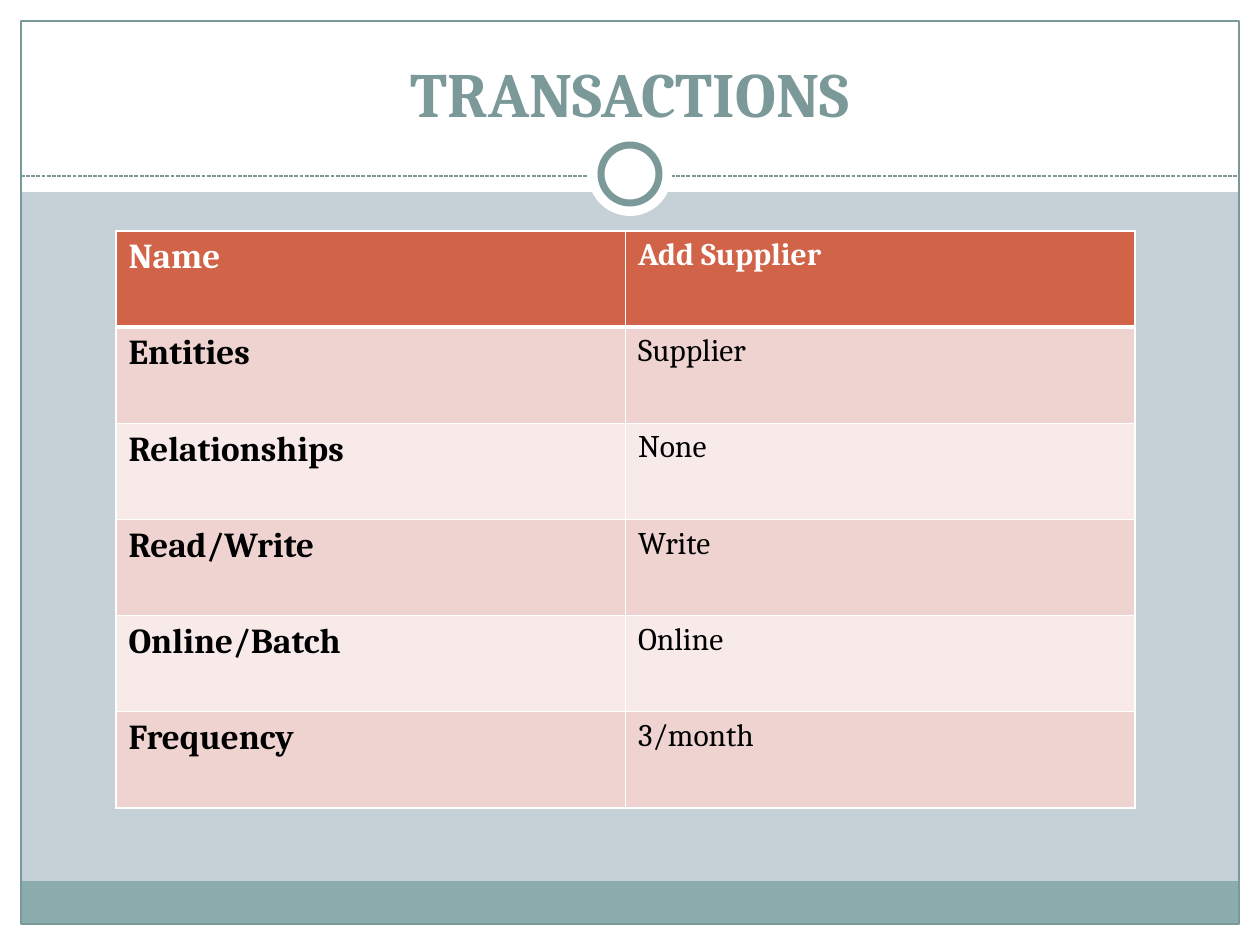
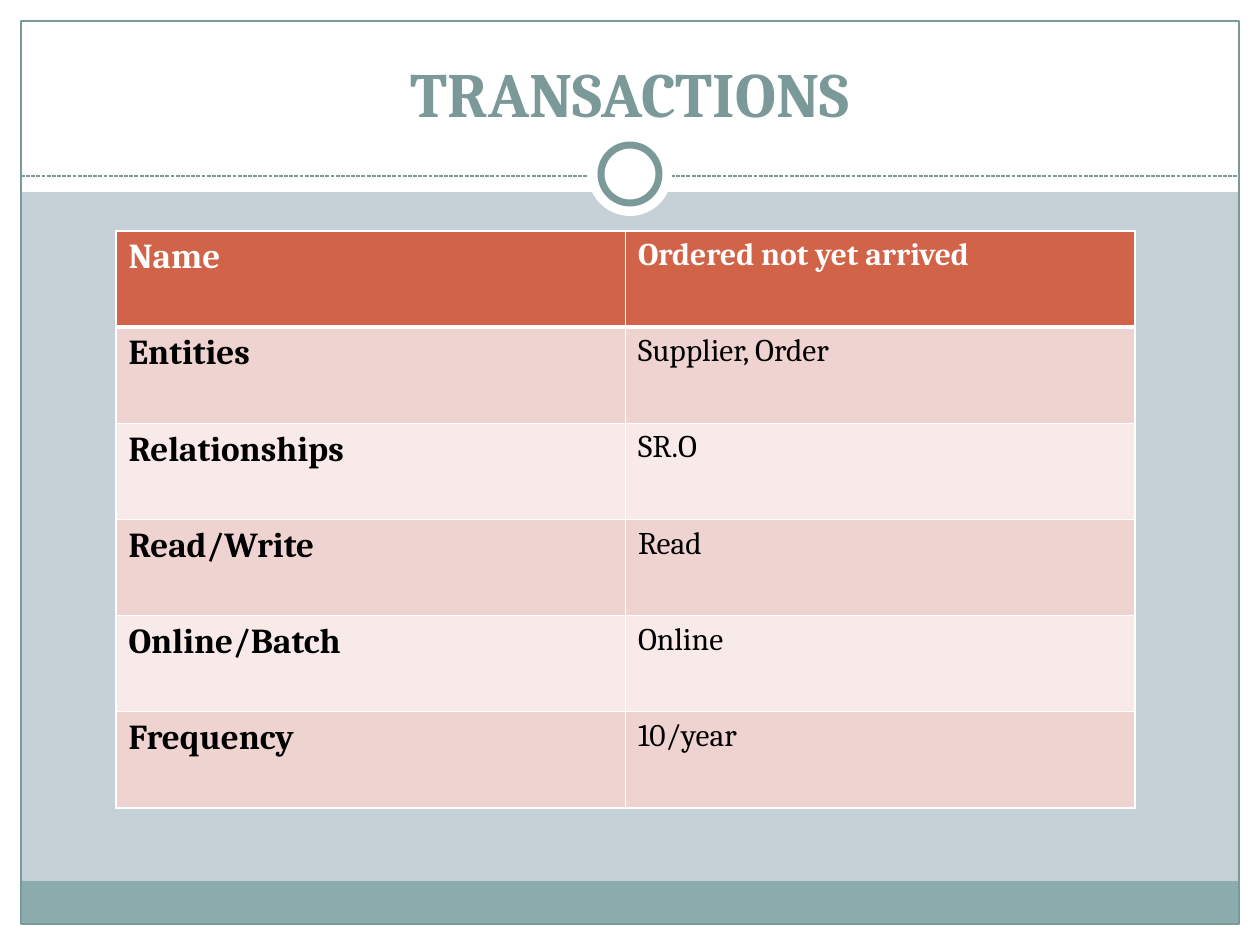
from lxml import etree
from pptx import Presentation
from pptx.dml.color import RGBColor
from pptx.enum.dml import MSO_LINE
from pptx.enum.shapes import MSO_CONNECTOR, MSO_SHAPE
from pptx.enum.text import MSO_ANCHOR, PP_ALIGN
from pptx.oxml.ns import qn
from pptx.util import Pt

RECTANGLE, OVAL = MSO_SHAPE.RECTANGLE, MSO_SHAPE.OVAL
STRAIGHT = MSO_CONNECTOR.STRAIGHT
DASHED = MSO_LINE.SQUARE_DOT
BOTTOM, CENTER = MSO_ANCHOR.BOTTOM, PP_ALIGN.CENTER

PIXEL = 914400 / 126
WIDTH, HEIGHT = 1260, 945
MARGIN = 21
FONT = "Cambria"
COLORS = {
    "background": "C5D1D7",
    "white": "FFFFFF",
    "black": "000000",
    "accent": "7C999A",
    "footer": "8CADAE",
    "header": "D16349",
    "odd": "EED3D0",
    "even": "F7EAE9",
}
TITLE = "TRANSACTIONS"
LABELS = ["Name", "Entities", "Relationships", "Read/Write", "Online/Batch", "Frequency"]
TRANSACTIONS = [
    ["Add Supplier", "Supplier", "None", "Write", "Online", "3/month"],
    ["Ordered not yet arrived", "Supplier, Order", "SR.O", "Read", "Online", "10/year"],
]


def emu(*pixels):
    """Turn pixel lengths into EMU."""
    return [round(length * PIXEL) for length in pixels]


def color(name):
    """Return a named colour."""
    return RGBColor.from_string(COLORS[name])


def style_text(para, size, color_name, bold):
    """Format every run of a paragraph."""
    for span in para.runs:
        span.font.name = FONT
        span.font.size = Pt(size)
        span.font.bold = bold
        span.font.color.rgb = color(color_name)


def add_panel(page, kind, box, fill=None, line=None, weight=0.75):
    """Add a flat shape with an optional fill and outline."""
    shape = page.shapes.add_shape(kind, *emu(*box))
    shape.shadow.inherit = False
    if fill:
        shape.fill.solid()
        shape.fill.fore_color.rgb = color(fill)
    else:
        shape.fill.background()
    if line:
        shape.line.color.rgb = color(line)
        shape.line.width = Pt(weight)
    else:
        shape.line.fill.background()


def add_divider(page, left, right, top):
    """Add the dashed rule under the title."""
    rule = page.shapes.add_connector(STRAIGHT, *emu(left, top, right, top))
    rule.line.color.rgb = color("accent")
    rule.line.width = Pt(0.75)
    rule.line.dash_style = DASHED
    etree.SubElement(rule._element.spPr, qn("a:effectLst"))


def add_circle(page, center_x, center_y, diameter, line=None):
    """Add a white circle around a centre point."""
    box = (center_x - diameter / 2, center_y - diameter / 2, diameter, diameter)
    add_panel(page, OVAL, box, "white", line, 4)


def add_frame(page, box):
    """Draw the background, white margins, footer band, border and ring."""
    left, top, width, height = box
    right, bottom = left + width, top + height
    page.background.fill.solid()
    page.background.fill.fore_color.rgb = color("background")
    for strip in (
        (0, bottom, WIDTH, HEIGHT - bottom),
        (0, 0, WIDTH, 192),
        (0, 0, left, HEIGHT),
        (right, 0, WIDTH - right, HEIGHT),
    ):
        add_panel(page, RECTANGLE, strip, "white")
    add_panel(page, RECTANGLE, (left, bottom - 43, width, 43), "footer")
    add_panel(page, RECTANGLE, box, line="accent")
    add_divider(page, left, right, top + 155)
    center_x, center_y = left + width / 2, top + 153
    add_circle(page, center_x, center_y, 84)
    add_circle(page, center_x, center_y, 58, "accent")


def add_title(page, box, text):
    """Add the centred title, resting on the bottom of its box."""
    frame = page.shapes.add_textbox(*emu(*box)).text_frame
    frame.word_wrap = True
    frame.vertical_anchor = BOTTOM
    frame.text = text
    para = frame.paragraphs[0]
    para.alignment = CENTER
    style_text(para, 36, "accent", True)


def add_border(cell, side, weight):
    """Add a white border to one side of a cell."""
    properties = cell._tc.get_or_add_tcPr()
    line = etree.SubElement(properties, qn(f"a:ln{side}"), w=str(Pt(weight)))
    fill = etree.SubElement(line, qn("a:solidFill"))
    etree.SubElement(fill, qn("a:srgbClr"), val=COLORS["white"])


def add_transaction_table(page, box, values):
    """Add the table of labels and values."""
    table = page.shapes.add_table(len(LABELS), 2, *emu(*box)).table
    for row, texts in enumerate(zip(LABELS, values)):
        fill = "header" if row == 0 else "odd" if row % 2 else "even"
        for column, text in enumerate(texts):
            cell = table.cell(row, column)
            for side in "LRTB":
                under_header = (row, side) in ((0, "B"), (1, "T"))
                add_border(cell, side, 3 if under_header else 1)
            cell.fill.solid()
            cell.fill.fore_color.rgb = color(fill)
            cell.text_frame.text = text
            style_text(
                cell.text_frame.paragraphs[0],
                18 if column else 20,
                "black" if row else "white",
                row == 0 or column == 0,
            )


def add_transaction_slide(deck, values):
    """Build one transaction slide."""
    page = deck.slides.add_slide(deck.slide_layouts[6])
    add_frame(page, (MARGIN, MARGIN, WIDTH - 2 * MARGIN, HEIGHT - 2 * MARGIN))
    add_title(page, (42, 32, 1176, 104), TITLE)
    add_transaction_table(page, (116, 231, 1019, 577), values)


def main():
    """Build and save the deck."""
    deck = Presentation()
    deck.slide_width, deck.slide_height = emu(WIDTH, HEIGHT)
    for values in TRANSACTIONS:
        add_transaction_slide(deck, values)
    deck.save("out.pptx")


main()
